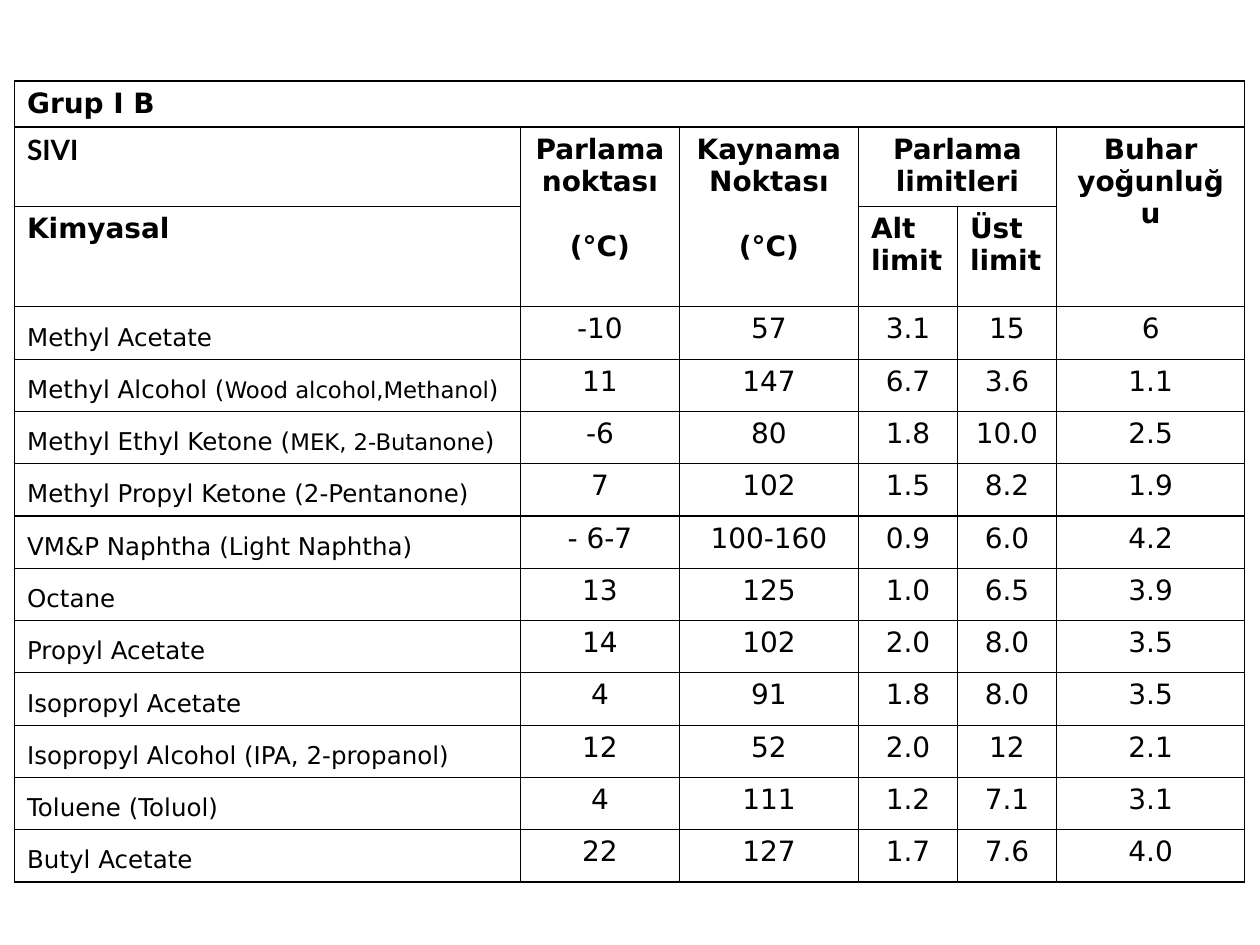
from lxml import etree
from pptx import Presentation
from pptx.dml.color import RGBColor
from pptx.enum import text
from pptx.oxml import ns
from pptx.util import Pt

BLACK = RGBColor(0x00, 0x00, 0x00)
BODY_FONT = "DejaVu Sans"
LIQUID_FONT = "Lato"
CENTER = text.PP_ALIGN.CENTER
LEFT = text.PP_ALIGN.LEFT

COLUMN_WIDTHS = [289.1, 90.9, 102.3, 56.6, 56.6, 107.7]
HEADER_HEIGHTS = [26.3, 45.4, 57.4]
BODY_HEIGHT = 29.9
MERGES = [(0, 0, 0, 5), (1, 1, 2, 1), (1, 2, 2, 2), (1, 3, 1, 4), (1, 5, 2, 5)]

HEADERS = [
    (0, 0, ["Grup I B"], LEFT, BODY_FONT),
    (1, 0, ["SIVI"], LEFT, LIQUID_FONT),
    (1, 1, ["Parlama noktası", "(°C)"], CENTER, BODY_FONT),
    (1, 2, ["Kaynama Noktası", "(°C)"], CENTER, BODY_FONT),
    (1, 3, ["Parlama limitleri"], CENTER, BODY_FONT),
    (1, 5, ["Buhar yoğunluğu"], CENTER, BODY_FONT),
    (2, 0, ["Kimyasal"], LEFT, BODY_FONT),
    (2, 3, ["Alt limit"], LEFT, BODY_FONT),
    (2, 4, ["Üst limit"], LEFT, BODY_FONT),
]

LIQUIDS = [
    ([("Methyl Acetate", 14)], "-10", "57", "3.1", "15", "6"),
    ([("Methyl Alcohol (", 14), ("Wood alcohol,Methanol", 13), (")", 14)],
     "11", "147", "6.7", "3.6", "1.1"),
    ([("Methyl Ethyl Ketone (", 14), ("MEK, 2-Butanone", 13), (")", 14)],
     "-6", "80", "1.8", "10.0", "2.5"),
    ([("Methyl Propyl Ketone (2-Pentanone)", 14)], "7", "102", "1.5", "8.2", "1.9"),
    ([("VM&P Naphtha (Light Naphtha)", 14)], "- 6-7", "100-160", "0.9", "6.0", "4.2"),
    ([("Octane", 14)], "13", "125", "1.0", "6.5", "3.9"),
    ([("Propyl Acetate", 14)], "14", "102", "2.0", "8.0", "3.5"),
    ([("Isopropyl Acetate", 14)], "4", "91", "1.8", "8.0", "3.5"),
    ([("Isopropyl Alcohol (IPA, 2-propanol)", 14)], "12", "52", "2.0", "12", "2.1"),
    ([("Toluene (Toluol)", 14)], "4", "111", "1.2", "7.1", "3.1"),
    ([("Butyl Acetate", 14)], "22", "127", "1.7", "7.6", "4.0"),
]


def add_run(paragraph, wording, size, bold=False, font=BODY_FONT):
    """Add one formatted run to a paragraph."""
    run = paragraph.add_run()
    run.text = wording
    run.font.name = font
    run.font.size = Pt(size)
    run.font.bold = bold
    run.font.color.rgb = BLACK


def format_cell(cell):
    """Clear the cell's fill and give it a thin black border."""
    properties = cell._tc.get_or_add_tcPr()
    for index, side in enumerate(("a:lnL", "a:lnR", "a:lnT", "a:lnB")):
        line = etree.Element(ns.qn(side), w=str(Pt(0.75)))
        fill = etree.SubElement(line, ns.qn("a:solidFill"))
        etree.SubElement(fill, ns.qn("a:srgbClr"), val=str(BLACK))
        properties.insert(index, line)
    cell.fill.background()


def fill_headers(table):
    """Merge and write the heading rows."""
    for top, left, bottom, right in MERGES:
        table.cell(top, left).merge(table.cell(bottom, right))
    for row, column, lines, alignment, font in HEADERS:
        frame = table.cell(row, column).text_frame
        for index, line in enumerate(lines):
            paragraph = frame.add_paragraph() if index else frame.paragraphs[0]
            paragraph.alignment = alignment
            if index:
                paragraph.space_before = Pt(18.6)
            add_run(paragraph, line, 16, True, font)


def fill_liquids(table):
    """Write one row for each liquid."""
    for row, (name, *values) in enumerate(LIQUIDS, len(HEADER_HEIGHTS)):
        paragraph = table.cell(row, 0).text_frame.paragraphs[0]
        paragraph.line_spacing = 1.35
        for wording, size in name:
            add_run(paragraph, wording, size)
        for column, value in enumerate(values, 1):
            paragraph = table.cell(row, column).text_frame.paragraphs[0]
            paragraph.alignment = CENTER
            add_run(paragraph, value, 16)


def add_liquid_table(slide, left, top):
    """Place the table of flammable liquids at the given corner."""
    heights = HEADER_HEIGHTS + [BODY_HEIGHT] * len(LIQUIDS)
    table = slide.shapes.add_table(
        len(heights), len(COLUMN_WIDTHS), Pt(left), Pt(top),
        Pt(sum(COLUMN_WIDTHS)), Pt(sum(heights))).table
    table.first_row = False
    table.horz_banding = False
    for column, width in zip(table.columns, COLUMN_WIDTHS):
        column.width = Pt(width)
    for row, height in zip(table.rows, heights):
        row.height = Pt(height)
    for cell in table.iter_cells():
        format_cell(cell)
    fill_headers(table)
    fill_liquids(table)


def main():
    """Build and save the presentation."""
    presentation = Presentation()
    presentation.slide_width = Pt(720)
    presentation.slide_height = Pt(540)
    slide = presentation.slides.add_slide(presentation.slide_layouts[6])
    add_liquid_table(slide, 8.3, 46.3)
    presentation.save("out.pptx")


if __name__ == "__main__":
    main()
